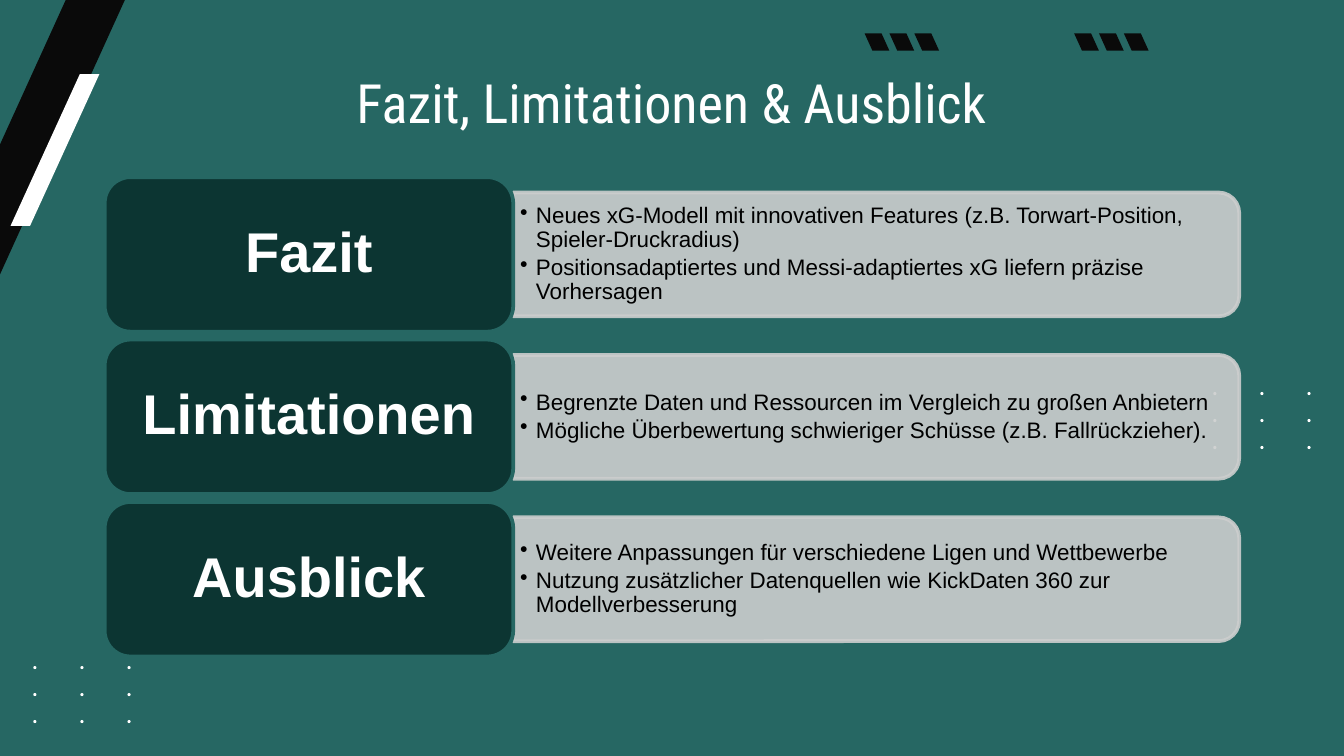
from math import cos, pi, sin

from lxml.etree import SubElement
from pptx import Presentation
from pptx.dml.color import RGBColor
from pptx.enum.shapes import MSO_SHAPE as Shape
from pptx.enum.text import MSO_ANCHOR as Anchor, PP_ALIGN as Align
from pptx.oxml.ns import qn
from pptx.util import Cm, Pt

TITLE = "Fazit, Limitationen & Ausblick"
ROWS = [
    ("Fazit", [
        "Neues xG-Modell mit innovativen Features (z.B. Torwart-Position, Spieler-Druckradius)",
        "Positionsadaptiertes und Messi-adaptiertes xG liefern präzise Vorhersagen",
    ]),
    ("Limitationen", [
        "Begrenzte Daten und Ressourcen im Vergleich zu großen Anbietern",
        "Mögliche Überbewertung schwieriger Schüsse (z.B. Fallrückzieher).",
    ]),
    ("Ausblick", [
        "Weitere Anpassungen für verschiedene Ligen und Wettbewerbe",
        "Nutzung zusätzlicher Datenquellen wie KickDaten 360 zur Modellverbesserung",
    ]),
]

TEAL, DARK, GREY = "266763", "0C3532", "CCCECE"
BLACK, INK, WHITE = "000000", "0A0A0A", "FFFFFF"

STRIPE_LEFTS = [20.3, 16.34]
STRIPE_TOP, STRIPE_WIDTH, STRIPE_HEIGHT = 0.63, 0.32, 0.33
STRIPE_SLANT, STRIPE_STEP = 0.15, 0.47
SLASHES = [((-1.9, -1.8, 5.08, 8.71), INK), ((0.2, 1.4, 1.68, 2.87), WHITE)]
DOT_ORIGINS = [(22.96, 7.44), (0.66, 12.62)]
DOT_STEP_X, DOT_STEP_Y, DOT_RADIUS = 0.89, 0.51, 0.03

CARD_LEFT, CARD_TOP, CARD_WIDTH, CARD_HEIGHT = 1.98, 3.35, 7.72, 2.92
ROW_STEP = 3.07
BAR_LEFT, BAR_WIDTH, BAR_HEIGHT = CARD_LEFT + CARD_WIDTH, 13.72, 2.34
TEXT_WIDTH, TEXT_HEIGHT = 13.61, 2.11

TITLE_FONT = {"name": "Roboto Condensed", "size": Pt(29), "bold": False}
CARD_FONT = {"name": "Arial", "size": Pt(30), "bold": True}
BULLET_FONT = {"name": "Arial", "size": Pt(12), "bold": False}


def rgb(value):
    return RGBColor.from_string(value)


def apply(target, values):
    for name, value in values.items():
        setattr(target, name, value)


def paint(shape, fill, line=None):
    shape.shadow.inherit = False
    shape.fill.solid()
    shape.fill.fore_color.rgb = rgb(fill)
    if line:
        shape.line.color.rgb = rgb(line)
        shape.line.width = Pt(2)
    else:
        shape.line.fill.background()


def add_shape(slide, kind, box, fill, line=None):
    shape = slide.shapes.add_shape(kind, *map(Cm, box))
    paint(shape, fill, line)
    return shape


def add_polygons(slide, polygons, fill):
    outlines = [[(Cm(x), Cm(y)) for x, y in polygon] for polygon in polygons]
    builder = slide.shapes.build_freeform(*outlines[0][0])
    for index, (start, *points) in enumerate(outlines):
        if index:
            builder.move_to(*start)
        builder.add_line_segments(points, close=True)
    paint(builder.convert_to_shape(), fill)


def write(shape, lines, font, color, margins, spacing, align=Align.CENTER, bullet=False):
    frame = shape.text_frame
    side, edge = map(Cm, margins)
    apply(frame, {
        "word_wrap": True, "vertical_anchor": Anchor.MIDDLE,
        "margin_left": side, "margin_right": side,
        "margin_top": edge, "margin_bottom": edge,
    })
    for index, line in enumerate(lines):
        paragraph = frame.add_paragraph() if index else frame.paragraphs[0]
        if bullet:
            add_bullet(paragraph, color)
        apply(paragraph, {"alignment": align, **spacing})
        run = paragraph.add_run()
        run.text = line
        apply(run.font, font)
        run.font.color.rgb = rgb(color)


def add_bullet(paragraph, color):
    properties = paragraph._p.get_or_add_pPr()
    properties.set("marL", str(Cm(0.3)))
    properties.set("indent", str(-Cm(0.3)))
    bullet_color = SubElement(properties, qn("a:buClr"))
    SubElement(bullet_color, qn("a:srgbClr"), val=color)
    SubElement(properties, qn("a:buChar"), char="•")


def stripe(left):
    right, bottom = left + STRIPE_WIDTH, STRIPE_TOP + STRIPE_HEIGHT
    return [(left, STRIPE_TOP), (right, STRIPE_TOP),
            (right + STRIPE_SLANT, bottom), (left + STRIPE_SLANT, bottom)]


def dot(x, y):
    angles = [step * pi / 4 for step in range(8)]
    return [(x + DOT_RADIUS * cos(a), y + DOT_RADIUS * sin(a)) for a in angles]


def add_decoration(slide):
    for left in STRIPE_LEFTS:
        add_polygons(slide, [stripe(left + i * STRIPE_STEP) for i in range(3)], INK)
    for box, color in SLASHES:
        slash = add_shape(slide, Shape.PARALLELOGRAM, box, color)
        slash.adjustments[0] = 0.78
    for x, y in DOT_ORIGINS:
        dots = [dot(x + column * DOT_STEP_X, y + row * DOT_STEP_Y)
                for column in range(3) for row in range(3)]
        add_polygons(slide, dots, WHITE)


def add_row(slide, index, heading, bullets):
    top = CARD_TOP + index * ROW_STEP
    middle = top + CARD_HEIGHT / 2
    bar_box = (BAR_LEFT + (BAR_WIDTH - BAR_HEIGHT) / 2, middle - BAR_WIDTH / 2,
               BAR_HEIGHT, BAR_WIDTH)
    bar = add_shape(slide, Shape.ROUND_2_SAME_RECTANGLE, bar_box, GREY, GREY)
    bar.rotation = 90
    for color in bar._element.spPr.iter(qn("a:srgbClr")):
        SubElement(color, qn("a:alpha"), val="90000")

    text_box = (BAR_LEFT, middle - TEXT_HEIGHT / 2, TEXT_WIDTH, TEXT_HEIGHT)
    text = slide.shapes.add_textbox(*map(Cm, text_box))
    write(text, bullets, BULLET_FONT, BLACK, (0.13, 0.08),
          {"line_spacing": 0.9, "space_after": Pt(2)}, Align.LEFT, bullet=True)

    card_box = (CARD_LEFT, top, CARD_WIDTH, CARD_HEIGHT)
    card = add_shape(slide, Shape.ROUNDED_RECTANGLE, card_box, DARK, TEAL)
    write(card, [heading], CARD_FONT, WHITE, (0.3, 0.15), {"line_spacing": 0.9})


def main():
    presentation = Presentation()
    apply(presentation, {"slide_width": Cm(25.4), "slide_height": Cm(14.29)})
    slide = presentation.slides.add_slide(presentation.slide_layouts[6])
    slide.background.fill.solid()
    slide.background.fill.fore_color.rgb = rgb(TEAL)
    add_decoration(slide)
    title = slide.shapes.add_textbox(Cm(1.98), Cm(1.24), Cm(21.44), Cm(1.6))
    write(title, [TITLE], TITLE_FONT, WHITE, (0.25, 0.25), {"line_spacing": 0.8})
    for index, (heading, bullets) in enumerate(ROWS):
        add_row(slide, index, heading, bullets)
    presentation.save("out.pptx")


if __name__ == "__main__":
    main()
